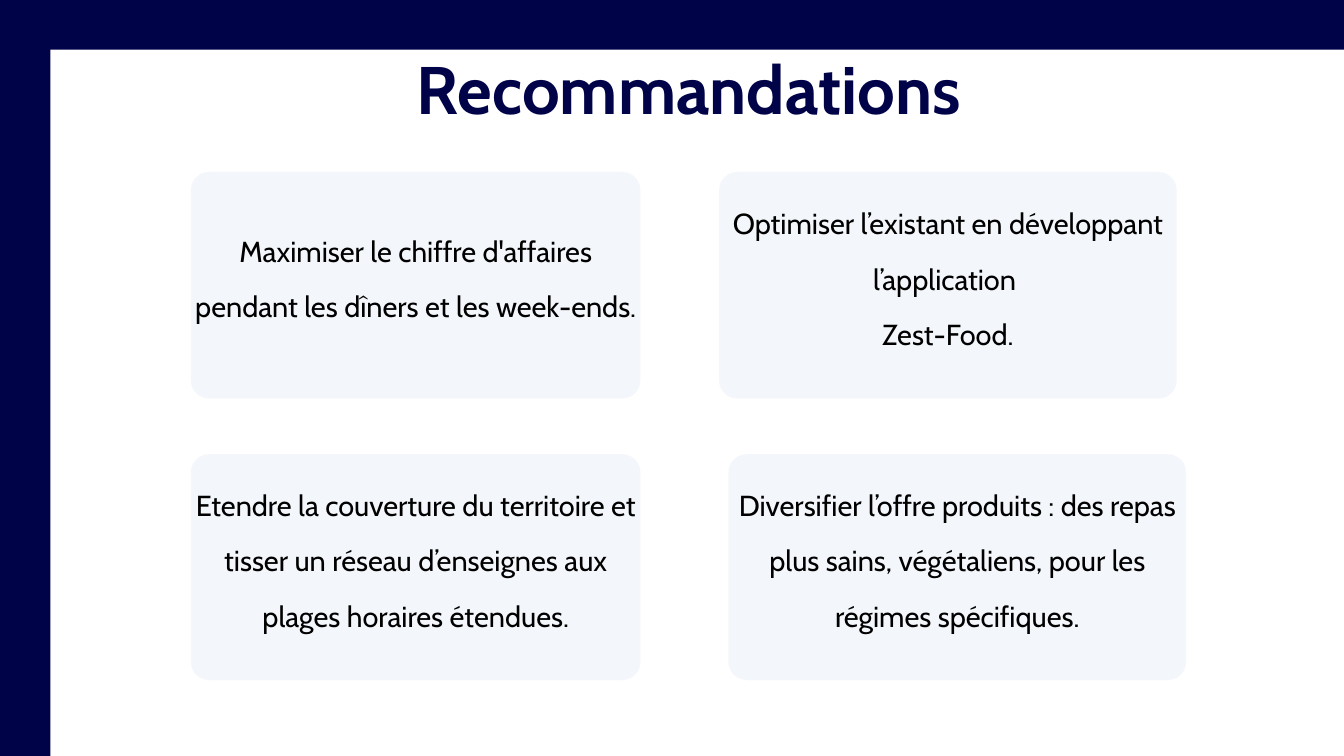
from pptx import Presentation
from pptx.dml.color import RGBColor
from pptx.enum.shapes import MSO_SHAPE
from pptx.enum.text import MSO_ANCHOR, MSO_AUTO_SIZE, PP_ALIGN
from pptx.util import Emu, Pt

RECT = MSO_SHAPE.RECTANGLE
ROUND = MSO_SHAPE.ROUNDED_RECTANGLE
TOP, MIDDLE = MSO_ANCHOR.TOP, MSO_ANCHOR.MIDDLE
CENTER = PP_ALIGN.CENTER
FIXED = MSO_AUTO_SIZE.NONE

SCALE = 9144  # EMU per px, 100 px to the inch
WIDE, HIGH = 2000, 1125
FONT = "Cabin"
COLORS = {"navy": "010349", "card": "F3F6FA", "text": "000000", "page": "FFFFFF"}

RADIUS = 27
LIFT = 51  # the text area starts this far above its card
INSET = 6

# left, top, width, height, paragraphs
CARDS = [
    (284, 256, 669, 337,
     ["Maximiser le chiffre d'affaires pendant les dîners et les week-ends."]),
    (1070, 256, 681, 337,
     ["Optimiser l’existant en développant l’application ", "Zest-Food."]),
    (284, 676, 669, 336,
     ["Etendre la couverture du territoire et tisser un réseau d’enseignes "
      "aux plages horaires étendues."]),
    (1084, 676, 681, 336,
     ["Diversifier l’offre produits : des repas plus sains, végétaliens, "
      "pour les régimes spécifiques."]),
]


def px(num):
    return Emu(num * SCALE)


def tint(name):
    return RGBColor.from_string(COLORS[name])


def add_block(slide, kind, box, color):
    shape = slide.shapes.add_shape(kind, *map(px, box))
    shape.shadow.inherit = False
    shape.fill.solid()
    shape.fill.fore_color.rgb = tint(color)
    shape.line.fill.background()
    return shape


def set_frame(frame, inset, anchor):
    frame.word_wrap = True
    frame.auto_size = FIXED
    frame.vertical_anchor = anchor
    frame.margin_left = frame.margin_right = px(inset)
    frame.margin_top = frame.margin_bottom = px(inset)


def add_run(para, text, size, color, bold=False):
    para.alignment = CENTER
    run = para.add_run()
    run.text = text
    run.font.name = FONT
    run.font.size = Pt(size)
    run.font.bold = bold
    run.font.color.rgb = tint(color)


def add_title(slide, text):
    title = slide.shapes.title
    title.left, title.top, title.width, title.height = map(px, (543, 71, 964, 121))
    set_frame(title.text_frame, 0, TOP)
    add_run(title.text_frame.paragraphs[0], text, 72, "navy", True)


def add_card(slide, left, top, width, height, lines):
    card = add_block(slide, ROUND, (left, top, width, height), "card")
    card.adjustments[0] = RADIUS / height

    area = (left, top - LIFT, width, height + LIFT)
    frame = slide.shapes.add_textbox(*map(px, area)).text_frame
    set_frame(frame, INSET, MIDDLE)
    for num, line in enumerate(lines):
        para = frame.add_paragraph() if num else frame.paragraphs[0]
        para.line_spacing = 1.6
        add_run(para, line, 31, "text")


def main():
    prs = Presentation()
    prs.slide_width, prs.slide_height = px(WIDE), px(HIGH)
    slide = prs.slides.add_slide(prs.slide_layouts[5])
    slide.background.fill.solid()
    slide.background.fill.fore_color.rgb = tint("page")

    # Left and top bands
    add_block(slide, RECT, (0, 0, 75, HIGH), "navy")
    add_block(slide, RECT, (51, 0, WIDE - 51, 74), "navy")

    # Recommendation cards
    for card in CARDS:
        add_card(slide, *card)

    # Heading
    add_title(slide, "Recommandations")

    prs.save("out.pptx")


if __name__ == "__main__":
    main()
